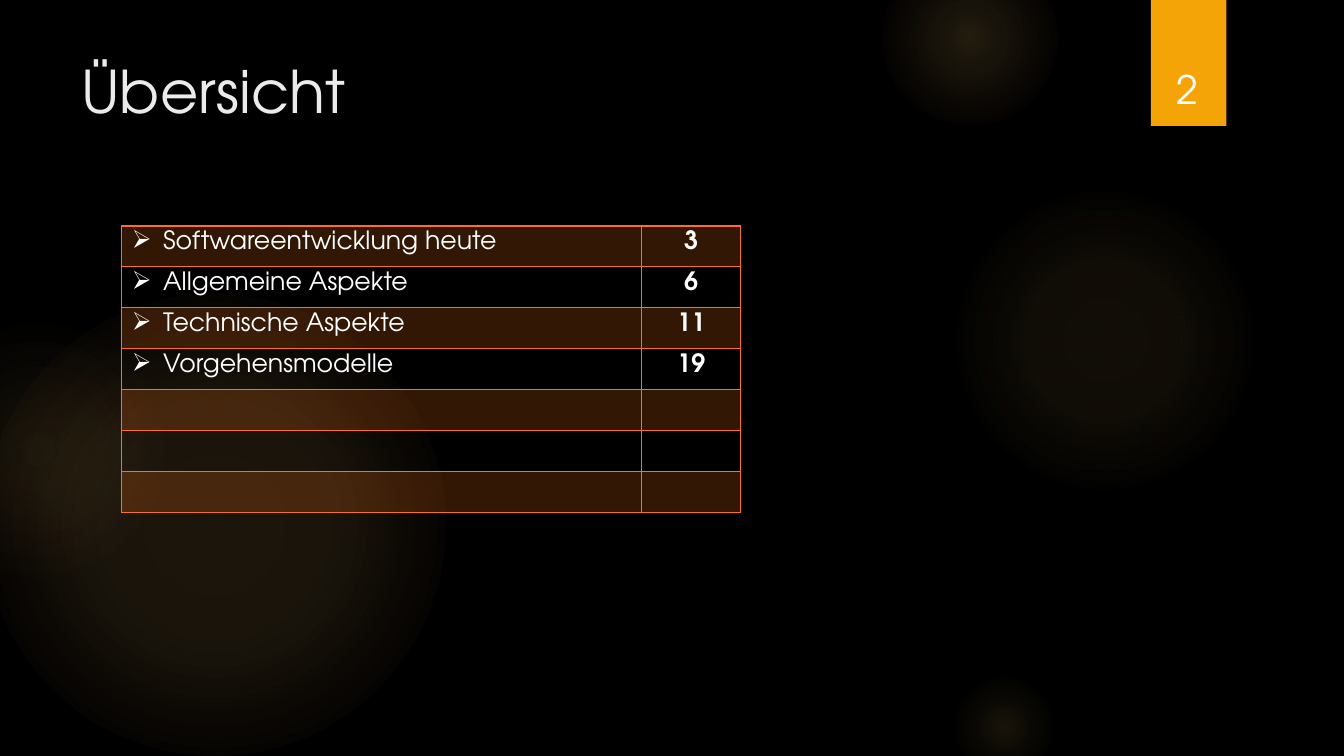
from lxml import etree
from pptx import Presentation
from pptx.dml.color import RGBColor
from pptx.enum.shapes import MSO_SHAPE
from pptx.enum.text import MSO_ANCHOR, PP_ALIGN
from pptx.oxml import parse_xml
from pptx.oxml.ns import qn
from pptx.util import Inches, Pt

OVAL, RECTANGLE = MSO_SHAPE.OVAL, MSO_SHAPE.RECTANGLE
LEFT, CENTER = PP_ALIGN.LEFT, PP_ALIGN.CENTER
TOP, BOTTOM = MSO_ANCHOR.TOP, MSO_ANCHOR.BOTTOM

FONT = "TeX Gyre Adventor"
WHITE, ORANGE, GLOW = "FFFFFF", "FA731A", "FAC96A"
NAMESPACE = 'xmlns:a="http://schemas.openxmlformats.org/drawingml/2006/main"'
COLUMNS, ROWS = 160, 90  # page grid, twelve units to the inch


def units(count):
    return Inches(count / 12)


def grid_box(*box):
    return [units(length) for length in box]


def color(hex_code):
    return RGBColor.from_string(hex_code)


def style(para, size, hex_code=WHITE, align=LEFT, bold=False):
    para.alignment = align
    font = para.font
    font.name, font.size, font.bold = FONT, Pt(size), bold
    font.color.rgb = color(hex_code)


def tint(hex_code, percent):
    return (f'<a:srgbClr val="{hex_code}">'
            f'<a:alpha val="{percent * 1000}"/></a:srgbClr>')


def add_plain_shape(page, kind, box):
    shape = page.shapes.add_shape(kind, *grid_box(*box))
    shape.shadow.inherit = False
    shape.line.fill.background()
    return shape


def add_glow(page, left, top, size, stops):
    """Circle that fades out from its centre; stops are (place, colour, opacity)."""
    circle = add_plain_shape(page, OVAL, (left, top, size, size))
    marks = "".join(f'<a:gs pos="{place * 1000}">{tint(hex_code, opacity)}</a:gs>'
                    for place, hex_code, opacity in stops)
    gradient = parse_xml(
        f'<a:gradFill {NAMESPACE} rotWithShape="1"><a:gsLst>{marks}</a:gsLst>'
        '<a:path path="circle"><a:fillToRect l="50000" t="50000" r="50000" b="50000"/>'
        '</a:path></a:gradFill>')
    circle._element.spPr.find(qn("a:prstGeom")).addnext(gradient)


def add_title(page, box, text):
    title = page.shapes.title
    title.left, title.top, title.width, title.height = grid_box(*box)
    title.text_frame.text = text
    title.text_frame.vertical_anchor = TOP
    style(title.text_frame.paragraphs[0], 42, "EBEBEB")
    page.shapes._spTree.append(title._element)  # in front of the glows


def add_page_flag(page, box, number):
    left, top, width, height = box
    flag = add_plain_shape(page, RECTANGLE, box)
    flag.fill.solid()
    flag.fill.fore_color.rgb = color("F5A408")
    label = page.shapes.add_textbox(
        *grid_box(left - 1.1, top + 3.9, width + 2, height - 4.9))
    frame = label.text_frame
    frame.word_wrap = True
    frame.vertical_anchor = BOTTOM
    frame.text = number
    style(frame.paragraphs[0], 28, align=CENTER)


def add_arrow_bullet(para):
    props = para._p.get_or_add_pPr()
    props.set("marL", str(Inches(0.31)))
    props.set("indent", str(Inches(-0.31)))
    bullet = parse_xml(f'<a:buChar {NAMESPACE} char="➢"/>')
    props.insert(0, bullet)


def format_cell(cell, banded):
    cell.margin_top, cell.margin_bottom = Inches(0.05), 0
    cell.vertical_anchor = TOP
    cell.fill.background()
    props = cell._tc.get_or_add_tcPr()
    if banded:
        props.remove(props.find(qn("a:noFill")))
        props.append(parse_xml(
            f'<a:solidFill {NAMESPACE}>{tint(ORANGE, 20)}</a:solidFill>'))
    for index, side in enumerate(("lnL", "lnR", "lnT", "lnB")):
        props.insert(index, parse_xml(
            f'<a:{side} {NAMESPACE} w="{Pt(1)}"><a:solidFill>'
            f'<a:srgbClr val="{ORANGE}"/></a:solidFill></a:{side}>'))


def add_contents(page, box, topics, row_count):
    left, top, width, height = box
    table = page.shapes.add_table(row_count, 2, *grid_box(*box)).table
    table.first_row = table.horz_banding = False
    for column, share in zip(table.columns, (0.84, 0.16)):
        column.width = units(width * share)
    for index, row in enumerate(table.rows):
        row.height = units(height / row_count)
        for cell in row.cells:
            format_cell(cell, banded=index % 2 == 0)
            para = cell.text_frame.paragraphs[0]
            style(para, 18)
            end = etree.SubElement(para._p, qn("a:endParaRPr"))
            end.set("sz", "1800")
        if index < len(topics):
            for cell, text in zip(row.cells, topics[index]):
                cell.text_frame.text = text
            topic, number = (cell.text_frame.paragraphs[0] for cell in row.cells)
            style(topic, 18)
            add_arrow_bullet(topic)
            style(number, 18, align=CENTER, bold=True)


# Deck and black page
deck = Presentation()
deck.slide_width, deck.slide_height = units(COLUMNS), units(ROWS)
page = deck.slides.add_slide(deck.slide_layouts[5])
page.background.fill.solid()
page.background.fill.fore_color.rgb = color("000000")

# Background glows: left, top, size, fading stops
GLOWS = [
    (-2, 35, 55, [(0, GLOW, 11), (36, GLOW, 10), (75, GLOW, 0)]),
    (-11, 38, 31, [(0, GLOW, 8), (36, GLOW, 5), (71, "F59B74", 0)]),
    (113, 22, 37, [(0, GLOW, 7), (36, GLOW, 6), (69, GLOW, 0)]),
    (105, -6, 21, [(0, GLOW, 14), (36, GLOW, 7), (73, GLOW, 0)]),
    (113, 80, 13, [(0, GLOW, 10), (31, GLOW, 5), (66, GLOW, 0)]),
]
for glow in GLOWS:
    add_glow(page, *glow)

# Page number, title and table of contents
TOPICS = [
    ("Softwareentwicklung heute", "3"),
    ("Allgemeine Aspekte", "6"),
    ("Technische Aspekte", "11"),
    ("Vorgehensmodelle", "19"),
]
add_page_flag(page, (137, 0, 9, 15), "2")
add_title(page, (8.5, 5.9, 123.5, 18.4), "Übersicht")
add_contents(page, (14.5, 26.9, 73.7, 34.1), TOPICS, row_count=7)

deck.save("out.pptx")
